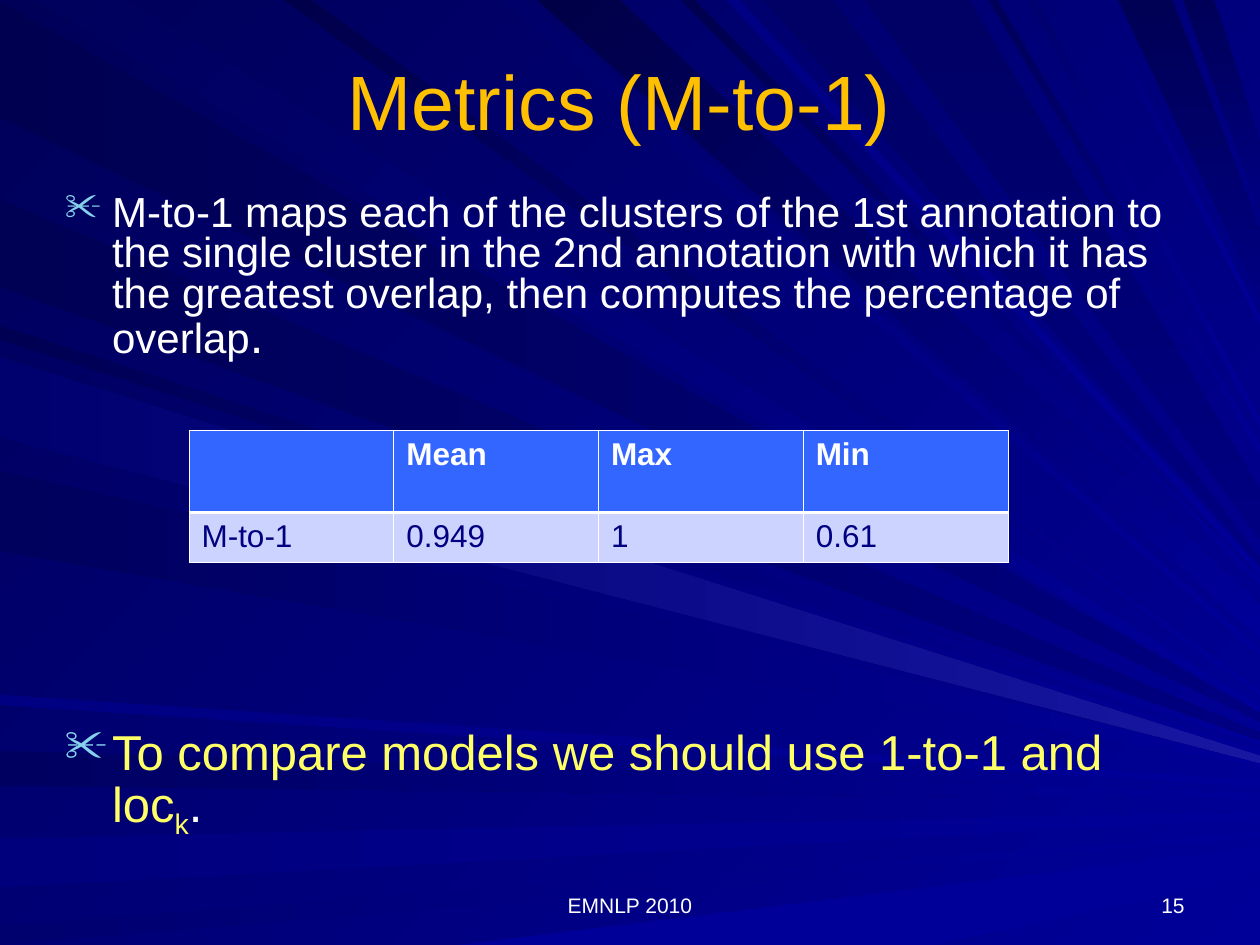
from dataclasses import dataclass
from enum import Enum
from typing import Any, NamedTuple

from lxml.etree import SubElement
from pptx import Presentation
from pptx.dml.color import RGBColor
from pptx.enum.text import MSO_ANCHOR, PP_ALIGN
from pptx.oxml import parse_xml
from pptx.oxml.ns import nsdecls, qn
from pptx.util import Pt


@dataclass(frozen=True)
class Theme:
    font: str = "Arial"
    title: str = "FFC000"
    text: str = "FFFFFF"
    accent: str = "FFFF66"
    bullet: str = "86D1EC"
    header_fill: str = "3366FF"
    row_fill: str = "CDD3FF"
    row_text: str = "000080"
    background: str = "000058"
    bright: str = "000099"
    dim: str = "000080"
    glow: str = "1717A2"
    title_size: float = 44
    large_size: float = 28
    body_size: float = 24
    table_size: float = 18
    footer_size: float = 12
    thin_border: float = 0.45
    thick_border: float = 1.47


class Edge(Enum):
    LEFT = "left"
    TOP = "top"
    BOTTOM = "bottom"


class Box(NamedTuple):
    left: float
    top: float
    width: float
    height: float


class Ray(NamedTuple):
    edge: Edge
    near: int
    far: int
    tip: int
    start: str
    end: str
    spread: int = 2


class Piece(NamedTuple):
    text: str
    color: str
    size: float
    bold: bool = False
    baseline: int = 0


class Bullet(NamedTuple):
    space_before: float
    pieces: list[Piece]


THEME = Theme()
WIDTH, HEIGHT = 720, 540
INDENT = Pt(27)
RAYS = [
    Ray(Edge.LEFT, 1, 67, 410, "000051", THEME.dim),
    Ray(Edge.TOP, 19, 73, 405, "00005D", THEME.bright),
    Ray(Edge.LEFT, 429, 449, 455, "000061", THEME.bright),
    Ray(Edge.LEFT, 479, 507, 466, "00007D", THEME.bright),
    Ray(Edge.LEFT, 529, 540, 477, "00006F", THEME.bright),
    Ray(Edge.BOTTOM, 262, 534, 492, THEME.bright, THEME.bright, 8),
    Ray(Edge.LEFT, 186, 194, 424, "000053", THEME.bright),
    Ray(Edge.LEFT, 114, 164, 421, "000055", THEME.dim),
    Ray(Edge.TOP, 287, 300, 373, "00006B", THEME.bright),
    Ray(Edge.TOP, 307, 354, 355, "000047", THEME.bright, 10),
    Ray(Edge.TOP, 389, 397, 333, "00004F", THEME.bright),
    Ray(Edge.TOP, 436, 476, 321, "000065", THEME.dim),
    Ray(Edge.TOP, 639, 670, 151, "000055", THEME.dim, 19),
    Ray(Edge.TOP, 676, 694, 101, "000059", THEME.dim, 19),
    Ray(Edge.LEFT, 200, 246, 431, "000061", THEME.bright),
    Ray(Edge.LEFT, 269, 315, 436, "00005D", THEME.bright),
    Ray(Edge.LEFT, 397, 403, 448, "000082", THEME.bright),
    Ray(Edge.TOP, 162, 178, 396, "00004A", THEME.bright),
    Ray(Edge.TOP, 415, 423, 327, "000082", THEME.bright),
    Ray(Edge.TOP, 494, 554, 294, "000065", THEME.dim, 14),
    Ray(Edge.TOP, 565, 570, 257, "000058", THEME.bright),
    Ray(Edge.TOP, 587, 593, 242, "00006F", THEME.bright),
    Ray(Edge.TOP, 623, 628, 183, "000079", THEME.bright),
    Ray(Edge.LEFT, 204, 250, 434, "00006F", THEME.glow),
]
BULLETS = [
    Bullet(0, [
        Piece("M-to-1 maps each of the clusters of the 1st annotation to the single cluster in the "
              "2nd annotation with which it has the greatest overlap, then computes the "
              "percentage of overlap", THEME.text, THEME.body_size),
        Piece(".", THEME.text, THEME.large_size),
    ]),
    Bullet(211, [
        Piece("To compare models we should use 1-to-1 and loc", THEME.accent, THEME.large_size),
        Piece("k", THEME.accent, THEME.large_size, baseline=-25000),
        Piece(".", THEME.text, THEME.large_size),
    ]),
]
SCORES = [["", "Mean", "Max", "Min"], ["M-to-1", "0.949", "1", "0.61"]]


def set_values(target: Any, values: dict[str, Any]) -> None:
    for name, value in values.items():
        setattr(target, name, value)


def fill_gradient(fill: Any, start: str, end: str, angle: int) -> None:
    fill.gradient()
    fill.gradient_angle = -angle % 360
    for stop, color in zip(fill.gradient_stops, (start, end)):
        stop.color.rgb = RGBColor.from_string(color)


def draw_ray(group: Any, ray: Ray) -> None:
    if ray.edge is Edge.LEFT:
        base, angle = [(0, ray.far), (0, ray.near)], 0
        tip = [(WIDTH, ray.tip - ray.spread), (WIDTH, ray.tip + ray.spread)]
    elif ray.edge is Edge.TOP:
        base, angle = [(ray.near, 0), (ray.far, 0)], 90 if ray.end == THEME.dim else 45
        tip = [(WIDTH, ray.tip - ray.spread), (WIDTH, ray.tip + ray.spread)]
    else:
        base, angle = [(ray.far, HEIGHT), (ray.near, HEIGHT)], 0
        tip = [(WIDTH, ray.tip - ray.spread), (WIDTH, ray.tip + ray.spread)]
    builder = group.shapes.build_freeform(*base[0], scale=Pt(1))
    builder.add_line_segments(base[1:] + tip, close=True)
    shape = builder.convert_to_shape()
    shape.shadow.inherit = False
    shape.line.fill.background()
    fill_gradient(shape.fill, ray.start, ray.end, angle)


def add_piece(paragraph: Any, piece: Piece) -> None:
    run = paragraph.add_run()
    run.text = piece.text
    set_values(run.font, {"name": THEME.font, "size": Pt(piece.size), "bold": piece.bold})
    run.font.color.rgb = RGBColor.from_string(piece.color)
    if piece.baseline:
        run._r.get_or_add_rPr().set("baseline", str(piece.baseline))


def add_text_box(slide: Any, box: Box, anchor: MSO_ANCHOR) -> Any:
    frame = slide.shapes.add_textbox(*map(Pt, box)).text_frame
    set_values(frame, {"word_wrap": True, "vertical_anchor": anchor})
    return frame


def add_footer(slide: Any, box: Box, text: str, alignment: PP_ALIGN) -> None:
    paragraph = add_text_box(slide, box, MSO_ANCHOR.BOTTOM).paragraphs[0]
    paragraph.alignment = alignment
    add_piece(paragraph, Piece(text, THEME.text, THEME.footer_size))


def add_bullet(paragraph: Any, bullet: Bullet) -> None:
    set_values(paragraph, {"line_spacing": 0.8, "space_before": Pt(bullet.space_before)})
    properties = paragraph._p.get_or_add_pPr()
    properties.set("marL", str(INDENT))
    properties.set("indent", str(-INDENT))
    color = SubElement(properties, qn("a:buClr"))
    SubElement(color, qn("a:srgbClr"), val=THEME.bullet)
    SubElement(properties, qn("a:buSzPct"), val="90000")
    SubElement(properties, qn("a:buChar"), char="✂")
    for piece in bullet.pieces:
        add_piece(paragraph, piece)


def set_borders(cell: Any, widths: dict[str, float]) -> None:
    properties = cell._tc.get_or_add_tcPr()
    for position, (side, width) in enumerate(widths.items()):
        properties.insert(position, parse_xml(
            f'<a:ln{side} {nsdecls("a")} w="{Pt(width)}"><a:solidFill>'
            f'<a:srgbClr val="{THEME.text}"/></a:solidFill></a:ln{side}>'))


def add_score_table(slide: Any, box: Box, heights: list[float]) -> None:
    table = slide.shapes.add_table(len(SCORES), len(SCORES[0]), *map(Pt, box)).table
    thin, thick = THEME.thin_border, THEME.thick_border
    for index, (values, height) in enumerate(zip(SCORES, heights)):
        header = index == 0
        table.rows[index].height = Pt(height)
        for cell, value in zip(table.rows[index].cells, values):
            cell.fill.solid()
            cell.fill.fore_color.rgb = RGBColor.from_string(THEME.header_fill if header else THEME.row_fill)
            set_borders(cell, {"L": thin, "R": thin, "T": thin if header else thick,
                               "B": thick if header else thin})
            if value:
                color = THEME.text if header else THEME.row_text
                add_piece(cell.text_frame.paragraphs[0], Piece(value, color, THEME.table_size, header))


def main() -> None:
    presentation = Presentation()
    set_values(presentation, {"slide_width": Pt(WIDTH), "slide_height": Pt(HEIGHT)})
    slide = presentation.slides.add_slide(presentation.slide_layouts[5])
    fill_gradient(slide.background.fill, THEME.background, THEME.bright, 45)
    group = slide.shapes.add_group_shape()
    for ray in RAYS:
        draw_ray(group, ray)
    add_footer(slide, Box(246, 492, 228, 36), "EMNLP 2010", PP_ALIGN.CENTER)
    add_footer(slide, Box(516, 492, 168, 36), "15", PP_ALIGN.RIGHT)
    title = slide.shapes.title
    slide.shapes.element.append(title.element)
    set_values(title, {"left": Pt(30), "top": Pt(12), "width": Pt(648), "height": Pt(90)})
    title.text_frame.vertical_anchor = MSO_ANCHOR.MIDDLE
    heading = title.text_frame.paragraphs[0]
    heading.alignment = PP_ALIGN.CENTER
    add_piece(heading, Piece("Metrics (M-to-1)", THEME.title, THEME.title_size))
    body = add_text_box(slide, Box(30, 108, 648, 402), MSO_ANCHOR.TOP)
    for index, bullet in enumerate(BULLETS):
        add_bullet(body.add_paragraph() if index else body.paragraphs[0], bullet)
    add_score_table(slide, Box(108, 246, 468, 75.6), [46.8, 28.8])
    presentation.save("out.pptx")


if __name__ == "__main__":
    main()
